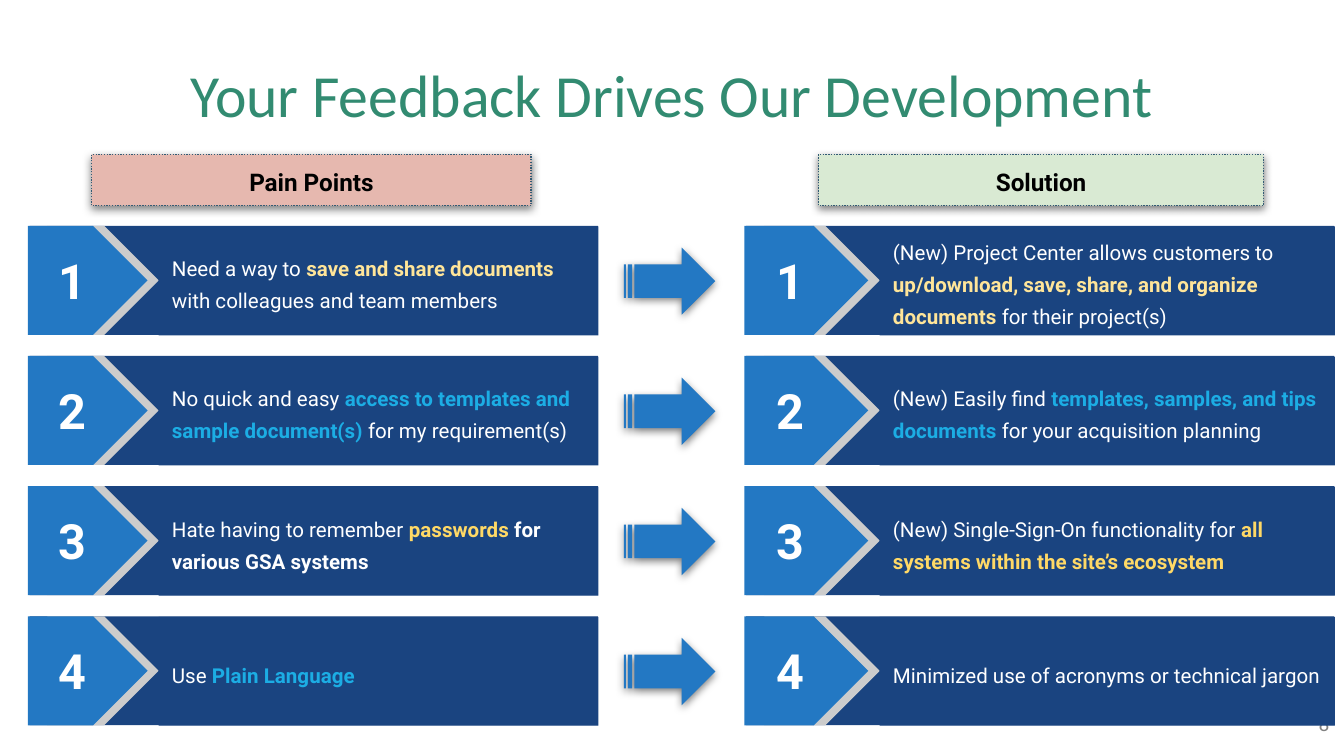
from lxml import etree
from pptx import Presentation
from pptx.dml.color import RGBColor
from pptx.enum.dml import MSO_LINE
from pptx.enum.shapes import MSO_SHAPE
from pptx.enum.text import MSO_ANCHOR, PP_ALIGN
from pptx.oxml.ns import qn
from pptx.util import Cm, Pt

RECT, CHEVRON = MSO_SHAPE.RECTANGLE, MSO_SHAPE.CHEVRON
PENTAGON, ARROW = MSO_SHAPE.PENTAGON, MSO_SHAPE.STRIPED_RIGHT_ARROW
LEFT, CENTER, RIGHT = PP_ALIGN.LEFT, PP_ALIGN.CENTER, PP_ALIGN.RIGHT
TOP, MIDDLE = MSO_ANCHOR.TOP, MSO_ANCHOR.MIDDLE
DOTTED = MSO_LINE.ROUND_DOT

COLORS = {
    "title": "328B71", "page": "808080", "black": "000000", "white": "FFFFFF",
    "pain": "E6B8AF", "solution": "D9EAD3", "outline": "335B74",
    "navy": "1A4480", "blue": "2378C3", "silver": "CCCCCC",
    "cream": "FFE599", "sky": "1CADE4", "gold": "FFD966",
}

TITLE = "Your Feedback Drives Our Development"
PAGE = "8"
HEADERS = [
    ("Pain Points", "pain", 1.73, 8.31),
    ("Solution", "solution", 15.47, 8.41),
]
PAIN_POINTS = [
    [("Need a way to ", "white", False),
     ("save and share documents", "cream", True),
     (" with colleagues and team members", "white", False)],
    [("No quick and easy ", "white", False),
     ("access to templates and sample document(s)", "sky", True),
     (" for my requirement(s)", "white", False)],
    [("Hate having to remember ", "white", False),
     ("passwords", "gold", True),
     (" for various GSA systems", "white", True)],
    [("Use ", "white", False), ("Plain Language", "sky", True)],
]
SOLUTIONS = [
    [("(New) Project Center allows customers to ", "white", False),
     ("up/download, save, share, and organize documents ", "cream", True),
     ("for their project(s)", "white", False)],
    [("(New) Easily find ", "white", False),
     ("templates, samples, and tips documents ", "sky", True),
     ("for your acquisition planning", "white", False)],
    [("(New) Single-Sign-On functionality for ", "white", False),
     ("all systems within the site’s ecosystem", "gold", True)],
    [("Minimized use of acronyms or technical jargon", "white", False)],
]

COLUMNS = [(0.53, 1, PAIN_POINTS), (14.07, 1.035, SOLUTIONS)]
FIRST_ROW, ROW_PITCH, ROW_HEIGHT = 4.27, 2.46, 2.06
BANNER = [
    (RECT, 0.03, 10.74, "navy"),
    (CHEVRON, 0.36, 2.11, "silver"),
    (PENTAGON, 0, 2.26, "blue"),
]

FORMATS = {
    "title": {"name": "Calibri", "size": Pt(32)},
    "page": {"name": "Calibri", "size": Pt(11)},
    "header": {"name": "Roboto", "size": Pt(13)},
    "number": {"name": "Roboto", "size": Pt(26)},
    "body": {"name": "Roboto", "size": Pt(11)},
}


def rgb(color):
    return RGBColor.from_string(COLORS[color])


def add_block(slide, kind, left, top, width, height, fill):
    block = slide.shapes.add_shape(kind, Cm(left), Cm(top), Cm(width), Cm(height))
    block.shadow.inherit = False
    block.fill.solid()
    block.fill.fore_color.rgb = rgb(fill)
    block.line.fill.background()
    return block


def add_area(slide, left, top, width, height):
    return slide.shapes.add_textbox(Cm(left), Cm(top), Cm(width), Cm(height))


def cast_shadow(block):
    effects = block._element.spPr.find(qn("a:effectLst"))
    shadow = etree.SubElement(effects, qn("a:outerShdw"), blurRad="57150",
                              dist="19050", dir="5400000", algn="bl", rotWithShape="0")
    tint = etree.SubElement(shadow, qn("a:srgbClr"), val=COLORS["black"])
    etree.SubElement(tint, qn("a:alpha"), val="50000")


def write(block, runs, style, align, anchor, inset=0.25, spacing=None):
    frame = block.text_frame
    layout = {"word_wrap": True, "vertical_anchor": anchor, "margin_left": Cm(inset),
              "margin_right": Cm(inset), "margin_top": Cm(inset), "margin_bottom": Cm(inset)}
    for key, value in layout.items():
        setattr(frame, key, value)
    paragraph = frame.paragraphs[0]
    paragraph.alignment = align
    paragraph.line_spacing = spacing
    for words, color, bold in runs:
        run = paragraph.add_run()
        run.text = words
        for key, value in {**FORMATS[style], "bold": bold}.items():
            setattr(run.font, key, value)
        run.font.color.rgb = rgb(color)


def add_header(slide, label, fill, left, width):
    header = add_block(slide, RECT, left, 2.92, width, 0.97, fill)
    header.line.color.rgb = rgb("outline")
    header.line.width = Pt(0.75)
    header.line.dash_style = DOTTED
    cast_shadow(header)
    write(header, [(label, "black", True)], "header", CENTER, TOP)


def add_banner(slide, left, top, scale, number, message):
    for kind, offset, width, fill in BANNER:
        add_block(slide, kind, left + offset * scale, top, width * scale, ROW_HEIGHT, fill)
    badge = add_area(slide, left, top + 0.43, 1.68 * scale, 1.19)
    write(badge, [(str(number), "white", True)], "number", CENTER, MIDDLE)
    panel = add_block(slide, RECT, left + 2.47 * scale, top + 0.01,
                      8.31 * scale, ROW_HEIGHT, "navy")
    write(panel, message, "body", LEFT, MIDDLE, spacing=1.3)


def main():
    deck = Presentation()
    deck.slide_width, deck.slide_height = Cm(25.4), Cm(14.29)
    slide = deck.slides.add_slide(deck.slide_layouts[6])

    page = add_area(slide, 24.16, 13.31, 1.09, 0.74)
    write(page, [(PAGE, "page", False)], "page", RIGHT, TOP, inset=0.13)
    title = add_area(slide, 1.27, 0.58, 22.86, 2.39)
    write(title, [(TITLE, "title", False)], "title", CENTER, MIDDLE, inset=0.13)
    for header in HEADERS:
        add_header(slide, *header)

    for row in range(len(PAIN_POINTS)):
        top = FIRST_ROW + row * ROW_PITCH
        for left, scale, messages in COLUMNS:
            add_banner(slide, left, top, scale, row + 1, messages[row])
        cast_shadow(add_block(slide, ARROW, 11.79, top + 0.41, 1.73, 1.27, "blue"))

    deck.save("out.pptx")


if __name__ == "__main__":
    main()
